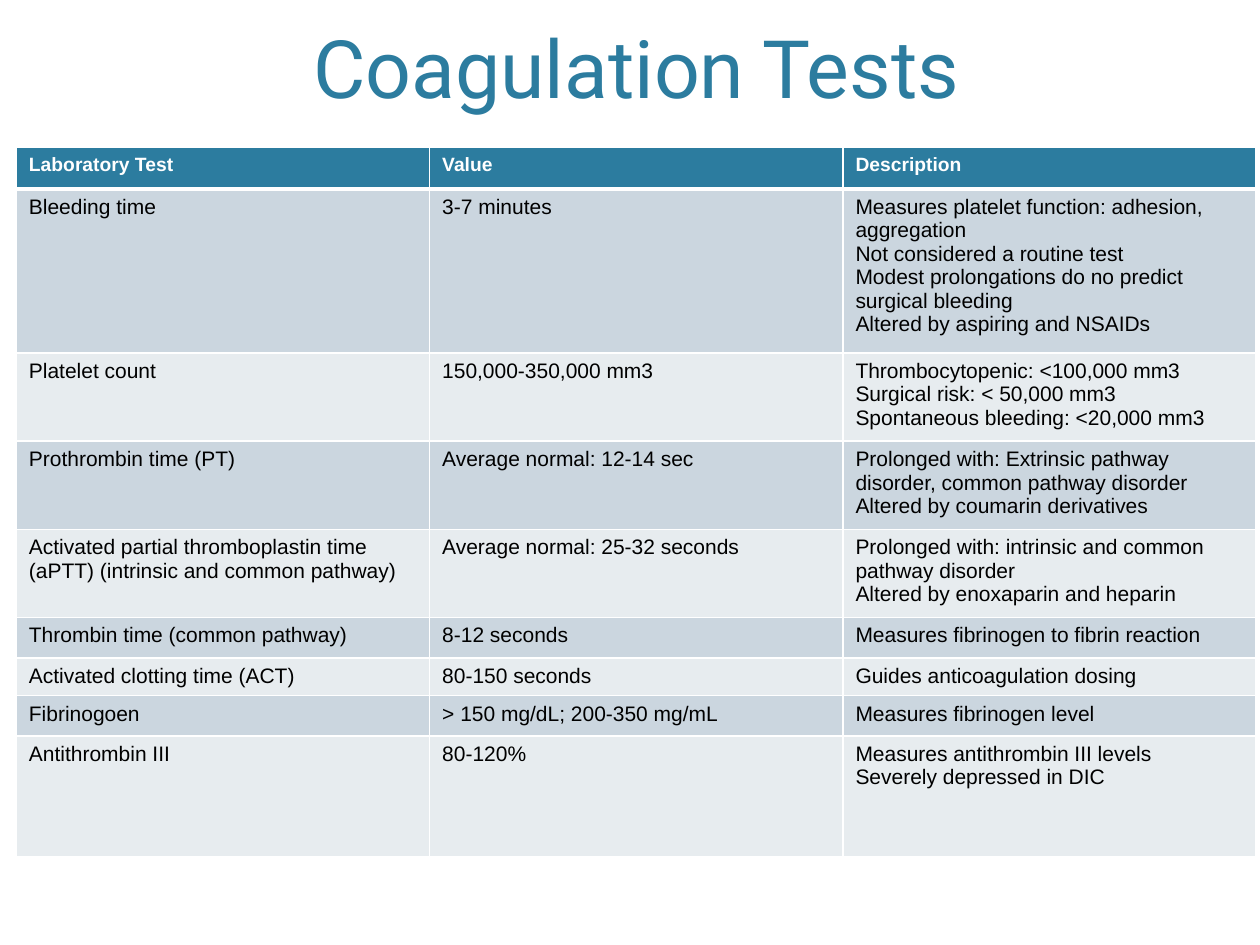
from lxml import etree
from pptx import Presentation
from pptx.dml.color import RGBColor
from pptx.enum.text import MSO_ANCHOR, PP_ALIGN
from pptx.oxml.ns import qn
from pptx.util import Inches, Pt

COLORS = {
    "teal": "2C7C9F",
    "white": "FFFFFF",
    "black": "000000",
    "band_dark": "CBD6DF",
    "band_light": "E7ECEF",
}
TITLE_FONT = {"name": "Roboto", "size": Pt(46)}
HEADER_FONT = {"name": "Arial", "size": Pt(11), "bold": True}
BODY_FONT = {"name": "Arial", "size": Pt(12), "bold": False}

COLUMN_WIDTH = 3.28
ROW_HEIGHTS = [0.33, 1.3, 0.7, 0.7, 0.7, 0.32, 0.3, 0.32, 0.96]
TESTS = [
    ("Laboratory Test", "Value", "Description"),
    ("Bleeding time", "3-7 minutes",
     "Measures platelet function: adhesion, aggregation\n"
     "Not considered a routine test\n"
     "Modest prolongations do no predict surgical bleeding\n"
     "Altered by aspiring and NSAIDs"),
    ("Platelet count", "150,000-350,000 mm3",
     "Thrombocytopenic: <100,000 mm3\n"
     "Surgical risk: < 50,000 mm3\n"
     "Spontaneous bleeding: <20,000 mm3"),
    ("Prothrombin time (PT)", "Average normal: 12-14 sec",
     "Prolonged with: Extrinsic pathway disorder, common pathway disorder\n"
     "Altered by coumarin derivatives"),
    ("Activated partial thromboplastin time (aPTT) (intrinsic and common pathway)",
     "Average normal: 25-32 seconds",
     "Prolonged with: intrinsic and common pathway disorder\n"
     "Altered by enoxaparin and heparin"),
    ("Thrombin time (common pathway)", "8-12 seconds",
     "Measures fibrinogen to fibrin reaction"),
    ("Activated clotting time (ACT)", "80-150 seconds",
     "Guides anticoagulation dosing"),
    ("Fibrinogoen", "> 150 mg/dL; 200-350 mg/mL", "Measures fibrinogen level"),
    ("Antithrombin III", "80-120%",
     "Measures antithrombin III levels\nSeverely depressed in DIC"),
]


def rgb(color):
    return RGBColor.from_string(COLORS[color])


def write_text(frame, text, font, color):
    """Fill a text frame with one paragraph per line of text."""
    frame.text = text
    for para in frame.paragraphs:
        for span in para.runs:
            for name, value in font.items():
                setattr(span.font, name, value)
            span.font.color.rgb = rgb(color)


def add_title(page, text):
    box = page.shapes.add_textbox(Inches(0.65), Inches(-0.5), Inches(8.8), Inches(1.46))
    frame = box.text_frame
    frame.word_wrap = True
    frame.vertical_anchor = MSO_ANCHOR.BOTTOM
    write_text(frame, text, TITLE_FONT, "teal")
    frame.paragraphs[0].alignment = PP_ALIGN.CENTER


def set_borders(cell, widths):
    """Draw white cell borders; widths maps each side to points."""
    properties = cell._tc.get_or_add_tcPr()
    for position, (side, width) in enumerate(widths.items()):
        line = etree.Element(qn(f"a:ln{side}"), w=str(Pt(width)))
        fill = etree.SubElement(line, qn("a:solidFill"))
        etree.SubElement(fill, qn("a:srgbClr"), val=COLORS["white"])
        properties.insert(position, line)


def style_cell(cell, text, row):
    """Style a cell as header or as one of the alternating bands."""
    is_header = row == 0
    band = "band_dark" if row % 2 else "band_light"
    cell.fill.solid()
    cell.fill.fore_color.rgb = rgb("teal" if is_header else band)
    write_text(cell.text_frame, text, HEADER_FONT if is_header else BODY_FONT,
               "white" if is_header else "black")
    for side in ("left", "right"):
        setattr(cell, f"margin_{side}", Inches(0.1))
    set_borders(cell, {"L": 1, "R": 1, "T": 3 if row == 1 else 1,
                       "B": 3 if is_header else 1})


def add_tests_table(page):
    columns = len(TESTS[0])
    table = page.shapes.add_table(
        len(TESTS), columns, Inches(0.13), Inches(1.17),
        Inches(COLUMN_WIDTH * columns), Inches(sum(ROW_HEIGHTS))).table
    for column in table.columns:
        column.width = Inches(COLUMN_WIDTH)
    for row, (texts, height) in enumerate(zip(TESTS, ROW_HEIGHTS)):
        table.rows[row].height = Inches(height)
        for column, text in enumerate(texts):
            style_cell(table.cell(row, column), text, row)


def main():
    deck = Presentation()
    deck.slide_width, deck.slide_height = Inches(10), Inches(7.5)
    page = deck.slides.add_slide(deck.slide_layouts[6])
    add_title(page, "Coagulation Tests")
    add_tests_table(page)
    deck.save("out.pptx")


if __name__ == "__main__":
    main()
